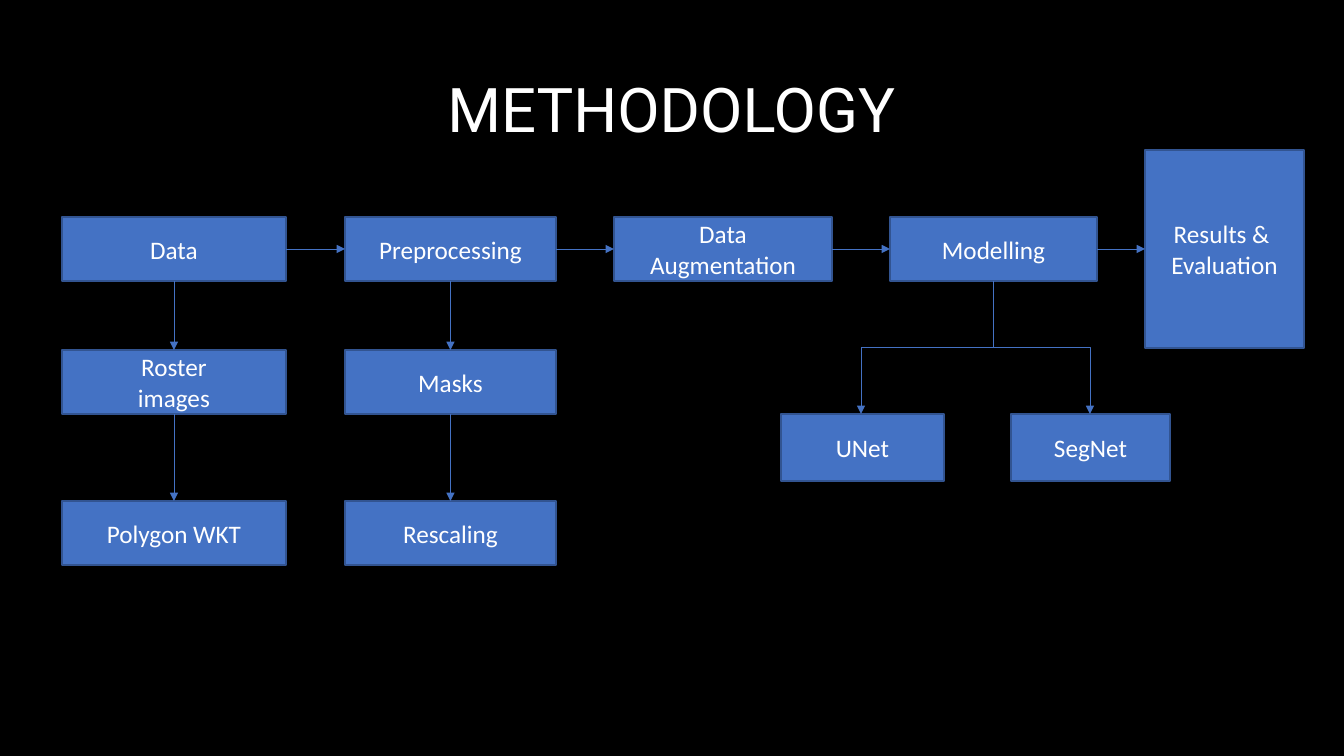
"""Build the METHODOLOGY flowchart slide."""
from lxml import etree
from pptx import Presentation
from pptx.dml.color import RGBColor
from pptx.enum.shapes import MSO_CONNECTOR, MSO_SHAPE
from pptx.enum.text import MSO_ANCHOR, PP_ALIGN
from pptx.oxml.ns import qn
from pptx.util import Pt

BLACK = RGBColor(0x00, 0x00, 0x00)
WHITE = RGBColor(0xFF, 0xFF, 0xFF)
BLUE = RGBColor(0x44, 0x72, 0xC4)
DARK_BLUE = RGBColor(0x32, 0x54, 0x91)
PROCESS = MSO_SHAPE.FLOWCHART_PROCESS
RECT = MSO_SHAPE.RECTANGLE
STRAIGHT = MSO_CONNECTOR.STRAIGHT
ELBOW = MSO_CONNECTOR.ELBOW
MIDDLE = MSO_ANCHOR.MIDDLE
CENTER = PP_ALIGN.CENTER

SLIDE_W, SLIDE_H = 1344, 756
EMU_PER_PX = 12192000 / SLIDE_W


def px(*lengths):
    return [round(n * EMU_PER_PX) for n in lengths]


def write(sp, text, size=18, font="Calibri", spacing=1.0):
    tf = sp.text_frame
    tf.word_wrap = True
    tf.vertical_anchor = MIDDLE
    for i, line in enumerate(text.split("\n")):
        p = tf.add_paragraph() if i else tf.paragraphs[0]
        p.alignment = CENTER
        p.line_spacing = spacing
        r = p.add_run()
        r.text = line
        r.font.size = Pt(size)
        r.font.name = font
        r.font.color.rgb = WHITE


prs = Presentation()
prs.slide_width, prs.slide_height = px(SLIDE_W, SLIDE_H)
s = prs.slides.add_slide(prs.slide_layouts[6])
s.background.fill.solid()
s.background.fill.fore_color.rgb = BLACK

title = s.shapes.add_textbox(*px(92, 40, 1159, 146))
write(title, "METHODOLOGY", size=44, font="Roboto", spacing=0.9)

BOX_H = 64
ROWS = [217, 350, 501]
MID_Y = ROWS[0] + BOX_H // 2
columns = [
    (62, 224, ["Data", "Roster\nimages", "Polygon WKT"]),
    (345, 211, ["Preprocessing", "Masks", "Rescaling"]),
    (614, 218, ["Data\nAugmentation"]),
    (890, 207, ["Modelling"]),
]
RESULTS_X, RESULTS_W, RESULTS_H = 1145, 159, 198
MODEL_Y = 414

boxes = [
    (PROCESS, "Results & \nEvaluation", RESULTS_X, MID_Y - RESULTS_H // 2, RESULTS_W, RESULTS_H),
    (RECT, "UNet", 781, MODEL_Y, 163, 67),
    (RECT, "SegNet", 1011, MODEL_Y, 159, 67),
]
arrows = []
next_lefts = [x for x, _, _ in columns[1:]] + [RESULTS_X]
for (x, w, labels), next_x in zip(columns, next_lefts):
    for y, label in zip(ROWS, labels):
        boxes.append((PROCESS, label, x, y, w, BOX_H))
    mid_x = x + w / 2
    for y, next_y in zip(ROWS, ROWS[1:len(labels)]):
        arrows.append((STRAIGHT, mid_x, y + BOX_H, mid_x, next_y, 0))
    arrows.append((STRAIGHT, x + w, MID_Y, next_x, MID_Y, 0))

fork_x, fork_y = columns[-1][0] + columns[-1][1] / 2, ROWS[0] + BOX_H
for end_x, side, rotation in [(861, 1, 90), (1090, -1, 270)]:
    mid_x, mid_y = (fork_x + end_x) / 2, (fork_y + MODEL_Y) / 2
    half_w, half_h = side * (MODEL_Y - fork_y) / 2, abs(end_x - fork_x) / 2
    arrows.append((ELBOW, mid_x - half_w, mid_y - half_h, mid_x + half_w, mid_y + half_h, rotation))

for kind, label, *frame in boxes:
    sp = s.shapes.add_shape(kind, *px(*frame))
    sp.shadow.inherit = False
    sp.fill.solid()
    sp.fill.fore_color.rgb = BLUE
    sp.line.color.rgb = DARK_BLUE
    sp.line.width = Pt(1)
    write(sp, label)

for kind, x1, y1, x2, y2, rotation in arrows:
    c = s.shapes.add_connector(kind, *px(x1, y1, x2, y2))
    c.line.color.rgb = BLUE
    c.line.width = Pt(0.5)
    sppr = c._element.spPr
    etree.SubElement(sppr.find(qn("a:ln")), qn("a:tailEnd"), type="triangle")
    etree.SubElement(sppr, qn("a:effectLst"))
    if rotation:
        sppr.find(qn("a:xfrm")).set("rot", str(rotation * 60000))

prs.save("out.pptx")
